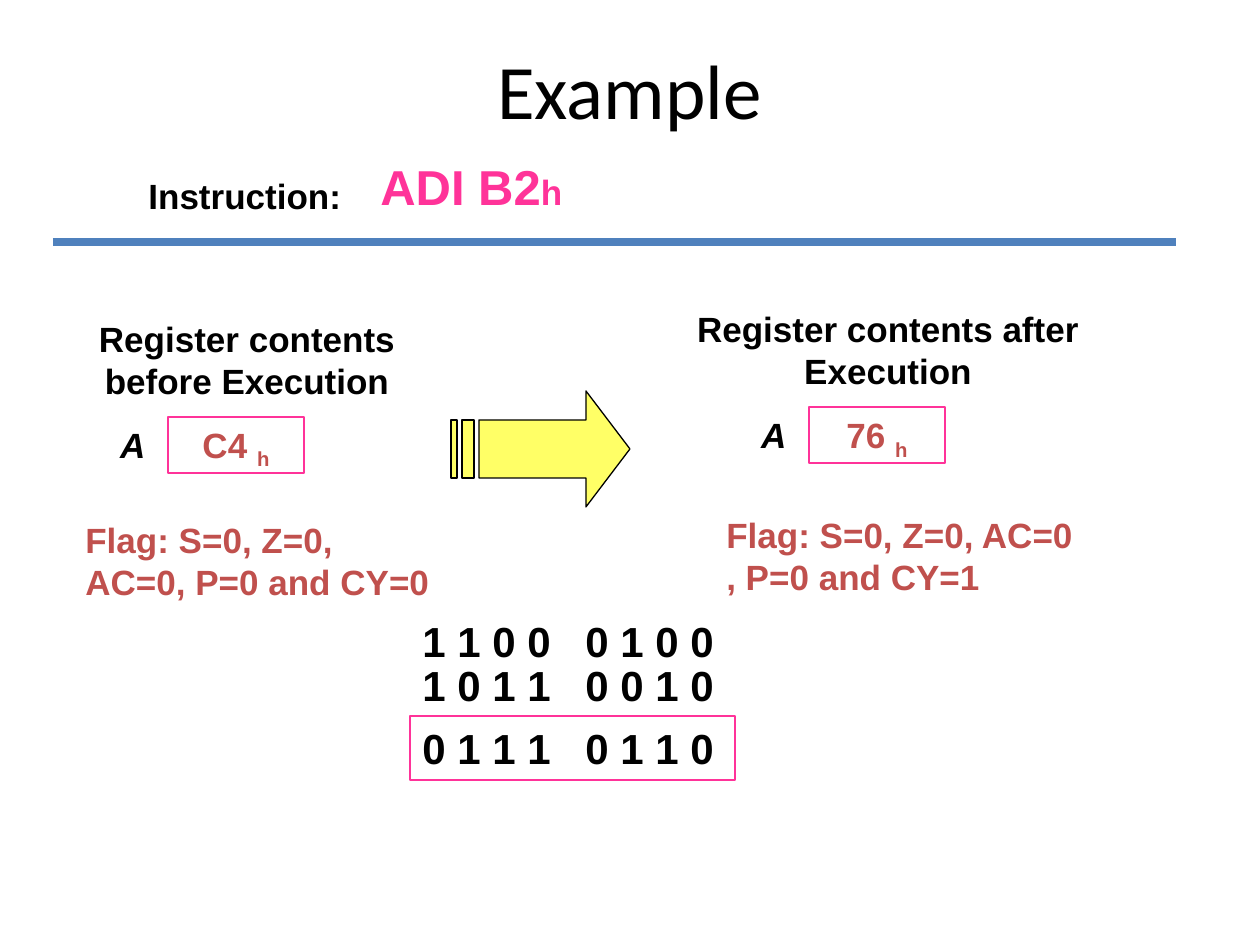
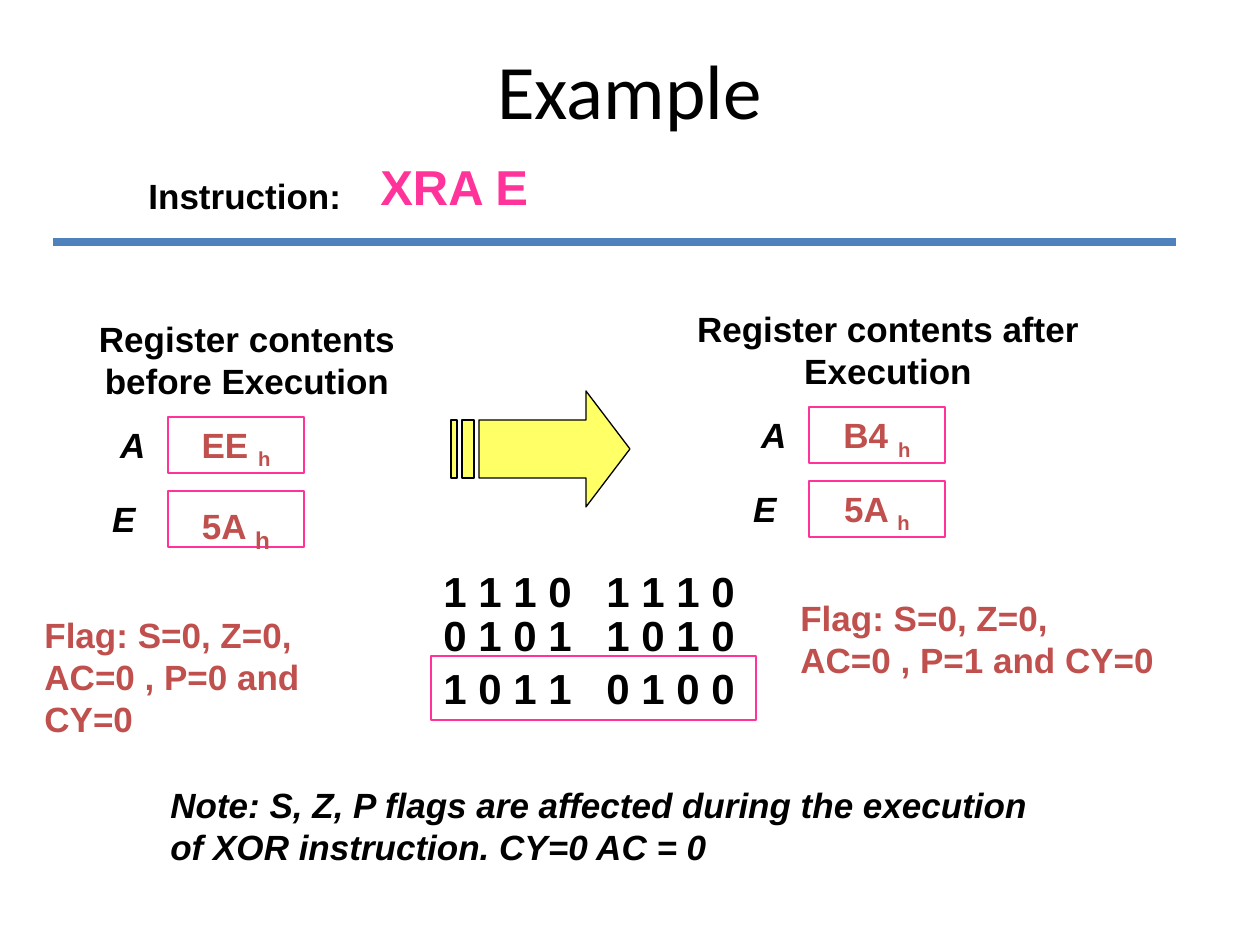
from lxml.etree import SubElement
from pptx import Presentation
from pptx.dml.color import RGBColor
from pptx.enum.shapes import MSO_CONNECTOR as Connector, MSO_SHAPE as Shape
from pptx.enum.text import MSO_ANCHOR as Anchor, PP_ALIGN as Align
from pptx.oxml.ns import qn
from pptx.util import Emu, Inches, Pt

# Shared style
BLACK = RGBColor(0x00, 0x00, 0x00)
PINK = RGBColor(0xFF, 0x33, 0x99)
RED = RGBColor(0xC0, 0x50, 0x4D)
BLUE = RGBColor(0x4F, 0x81, 0xBD)
YELLOW = RGBColor(0xFF, 0xFF, 0x66)
EMU_PER_PX = 914400 / 126
SUBSCRIPT = "-25000"
TITLE_ONLY = 5

# Content: a register is (name, value, size of the subscript h)
EXAMPLES = [
    {
        "instruction": [("ADI B2", 28), ("h", 20)],
        "before": [("A", "C4 ", 20)],
        "after": [("A", "76 ", 20)],
        "flags": [
            (["Flag: S=0, Z=0,", "AC=0, P=0 and CY=0"], (73, 512, 378, 97)),
            (["Flag: S=0, Z=0, AC=0", ", P=0 and CY=1"], (714, 507, 378, 97)),
        ],
        "operands": ["1 1 0 0\t0 1 0 0", "1 0 1 1\t0 0 1 0"],
        "result": "0 1 1 1\t0 1 1 0",
        "sum_at": (410, 609),
        "result_offset": 107,
    },
    {
        "instruction": [("XRA E", 28)],
        "before": [("A", "EE ", 20), ("E", "5A ", 24)],
        "after": [("A", "B4 ", 20), ("E", "5A ", 20)],
        "flags": [
            (["Flag: S=0, Z=0, AC=0 , P=0 and CY=0"], (32, 607, 357, 140)),
            (["Flag: S=0, Z=0,", "AC=0 , P=1 and CY=0"], (788, 590, 388, 97)),
        ],
        "operands": ["1 1 1 0\t1 1 1 0", "0 1 0 1\t1 0 1 0"],
        "result": "1 0 1 1\t0 1 0 0",
        "sum_at": (431, 559),
        "result_offset": 97,
        "note": "Note: S, Z, P flags are affected during the execution "
                "of XOR instruction. CY=0 AC = 0",
    },
]
HEADINGS = {
    "before": ("Register contents before Execution", (42, 311)),
    "after": ("Register contents after Execution", (683, 301)),
}

# Geometry in px
TITLE_BOX = (94, 10, 1071, 158)
RULE = (53, 242, 1176, 242)
REGISTER_TOP, REGISTER_STEP = 106, 74
OPERAND_STEP, NIBBLE_TAB = 44, 163
ARROW_PARTS = [
    [(586, 391), (586, 420), (479, 420), (479, 478), (586, 478), (586, 507), (630, 449)],
    [(462, 420), (462, 478), (474, 478), (474, 420)],
    [(451, 420), (451, 478), (457, 478), (457, 420)],
]


def px(value):
    return Emu(round(value * EMU_PER_PX))


def add_run(paragraph, text, size, color, italic=False, subscript=False, bold=True, name="Arial"):
    run = paragraph.add_run()
    run.text = text
    font = run.font
    font.name, font.size, font.bold, font.italic = name, Pt(size), bold, italic
    font.color.rgb = color
    if subscript:
        run._r.get_or_add_rPr().set("baseline", SUBSCRIPT)


def start_text(shape, align=Align.LEFT):
    """Prepare the text frame and return its first paragraph."""
    frame = shape.text_frame
    frame.word_wrap = True
    frame.vertical_anchor = Anchor.TOP
    paragraph = frame.paragraphs[0]
    paragraph.alignment = align
    return paragraph


def add_label(slide, box, text, size=20, color=BLACK, align=Align.LEFT, italic=False):
    paragraph = start_text(slide.shapes.add_textbox(*map(px, box)), align)
    add_run(paragraph, text, size, color, italic)


def add_frame(slide, box, line_width, align):
    """Add an unfilled pink frame and return its first paragraph."""
    shape = slide.shapes.add_shape(Shape.RECTANGLE, *map(px, box))
    shape.shadow.inherit = False
    shape.fill.background()
    shape.line.color.rgb = PINK
    shape.line.width = Pt(line_width)
    return start_text(shape, align)


def add_bits(paragraph, bits):
    """Write two nibbles, the second one on a tab stop."""
    tabs = SubElement(paragraph._p.get_or_add_pPr(), qn("a:tabLst"))
    SubElement(tabs, qn("a:tab"), pos=str(px(NIBBLE_TAB)), algn="l")
    add_run(paragraph, bits, 24, BLACK)


def add_header(slide, instruction):
    title = slide.shapes.title
    title.left, title.top, title.width, title.height = map(px, TITLE_BOX)
    paragraph = start_text(title, Align.CENTER)
    title.text_frame.vertical_anchor = Anchor.MIDDLE
    add_run(paragraph, "Example", 44, BLACK, bold=False, name="Calibri")

    add_label(slide, (136, 168, 231, 54), "Instruction:")
    paragraph = start_text(slide.shapes.add_textbox(*map(px, (368, 150, 273, 72))))
    for text, size in instruction:
        add_run(paragraph, text, size, PINK)

    rule = slide.shapes.add_connector(Connector.STRAIGHT, *map(px, RULE))
    rule.line.color.rgb = BLUE
    rule.line.width = Pt(4.5)
    SubElement(rule._element.spPr, qn("a:effectLst"))


def add_arrow(slide):
    first, *others = ARROW_PARTS
    builder = slide.shapes.build_freeform(*first[0], scale=EMU_PER_PX)
    builder.add_line_segments(first[1:], close=True)
    for part in others:
        builder.move_to(*part[0])
        builder.add_line_segments(part[1:], close=True)
    arrow = builder.convert_to_shape()
    arrow.shadow.inherit = False
    arrow.fill.solid()
    arrow.fill.fore_color.rgb = YELLOW
    arrow.line.color.rgb = BLACK
    arrow.line.width = Pt(0.75)


def add_registers(slide, heading, origin, registers):
    left, top = origin
    add_label(slide, (left, top, 410, 97), heading, align=Align.CENTER)
    for row, (name, value, h_size) in enumerate(registers):
        y = top + REGISTER_TOP + row * REGISTER_STEP
        line_width = 0.75 if row else 1.5
        paragraph = add_frame(slide, (left + 126, y, 136, 56), line_width, Align.CENTER)
        add_run(paragraph, value, 20, RED)
        add_run(paragraph, "h", h_size, RED, subscript=True)
        add_label(slide, (left - 10 * row, y, 116, 54), name, align=Align.RIGHT, italic=True)


def add_flags(slide, lines, box):
    paragraph = start_text(slide.shapes.add_textbox(*map(px, box)))
    for index, line in enumerate(lines):
        if index:
            paragraph.add_line_break()
        add_run(paragraph, line, 20, RED)


def add_sum(slide, example):
    left, top = example["sum_at"]
    for row, bits in enumerate(example["operands"]):
        box = (left, top + row * OPERAND_STEP, 368, 64)
        add_bits(start_text(slide.shapes.add_textbox(*map(px, box))), bits)
    box = (left, top + example["result_offset"], 325, 64)
    add_bits(add_frame(slide, box, 0.75, Align.LEFT), example["result"])


def main():
    presentation = Presentation()
    presentation.slide_width, presentation.slide_height = Inches(10), Inches(7.5)
    for example in EXAMPLES:
        slide = presentation.slides.add_slide(presentation.slide_layouts[TITLE_ONLY])
        add_header(slide, example["instruction"])
        add_arrow(slide)
        for side, (heading, origin) in HEADINGS.items():
            add_registers(slide, heading, origin, example[side])
        for lines, box in example["flags"]:
            add_flags(slide, lines, box)
        add_sum(slide, example)
        if "note" in example:
            add_label(slide, (158, 777, 892, 97), example["note"], italic=True)
    presentation.save("out.pptx")


if __name__ == "__main__":
    main()
